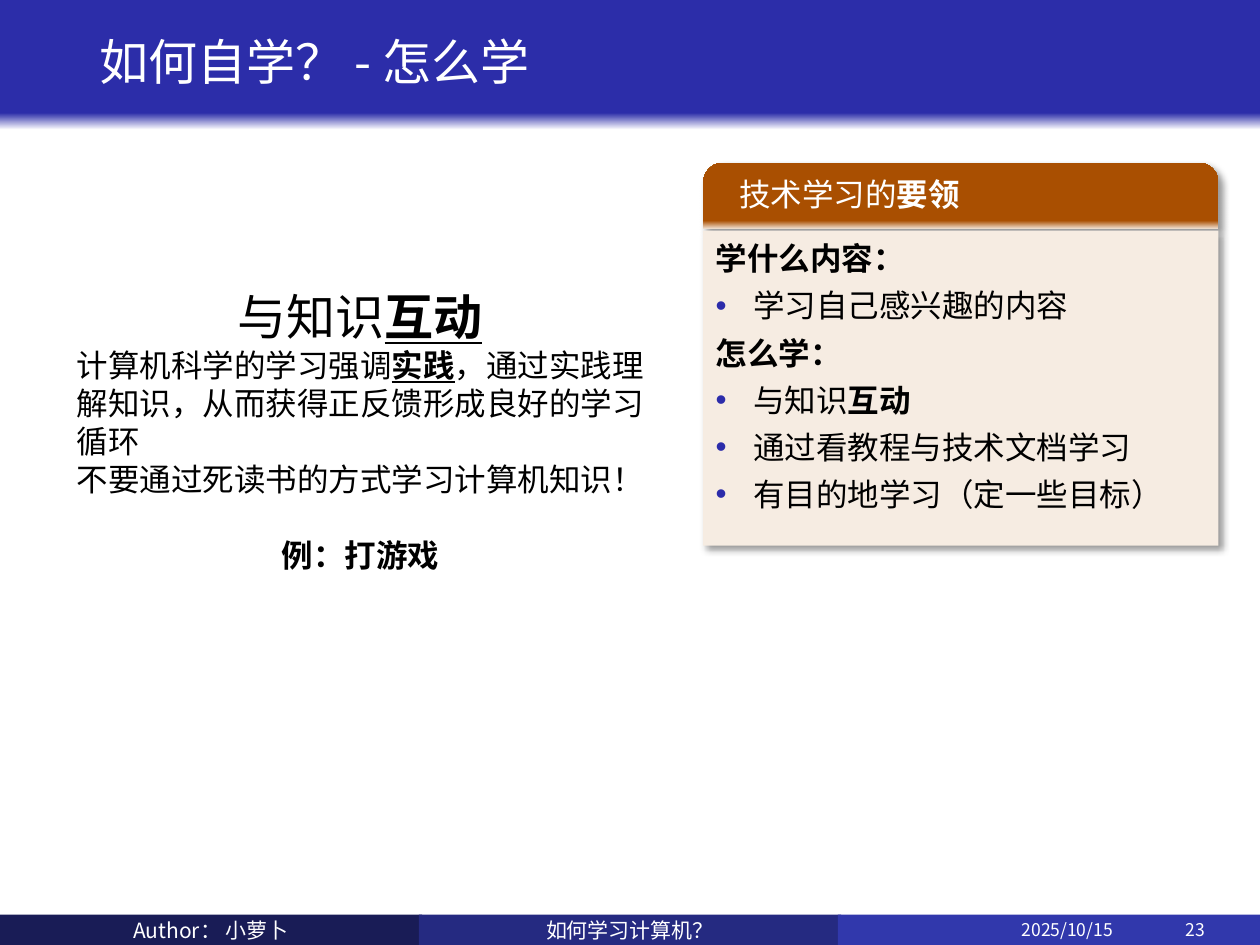
from dataclasses import dataclass
from typing import Optional

from lxml import etree
from pptx import Presentation
from pptx.dml.color import RGBColor
from pptx.enum import shapes, text
from pptx.oxml import ns
from pptx.util import Pt


@dataclass(frozen=True)
class Theme:
    cjk: str = "Noto Sans CJK SC"
    digits: str = "Noto Sans CJK JP"
    white: str = "FFFFFF"
    black: str = "000000"
    blue: str = "2C2DA9"
    bullet: str = "2C2CAA"
    orange: str = "A94F01"
    cream: str = "F6ECE2"
    footer_fills: tuple = ("191C56", "252A81", "3138AC")
    heading: float = 28
    body: float = 18
    footer: float = 12
    small: float = 10


THEME = Theme()
LEFT, CENTER = text.PP_ALIGN.LEFT, text.PP_ALIGN.CENTER
TOP, MIDDLE = text.MSO_ANCHOR.TOP, text.MSO_ANCHOR.MIDDLE
RECTANGLE = shapes.MSO_SHAPE.RECTANGLE


@dataclass(frozen=True)
class Box:
    left: float
    top: float
    width: float
    height: float

    def lengths(self) -> list:
        return [Pt(v) for v in (self.left, self.top, self.width, self.height)]


@dataclass(frozen=True)
class Run:
    text: str
    bold: bool = False
    underline: bool = False


@dataclass(frozen=True)
class Line:
    runs: tuple
    size: float = THEME.body
    color: str = THEME.black
    font: str = THEME.cjk
    align: text.PP_ALIGN = LEFT
    pitch: Optional[float] = None
    before: float = 0
    bullet: bool = False


def add_element(parent, tag: str, **attributes):
    return etree.SubElement(parent, ns.qn(tag), attributes)


def add_bullet(paragraph) -> None:
    properties = paragraph._p.get_or_add_pPr()
    properties.set("marL", str(Pt(21.6)))
    properties.set("indent", str(-Pt(21.6)))
    color = add_element(properties, "a:buClr")
    add_element(color, "a:srgbClr", val=THEME.bullet)
    add_element(properties, "a:buFont", typeface="Arial")
    add_element(properties, "a:buChar", char="•")


def write(shape, lines: list, anchor=MIDDLE, top_inset: float = 3.6) -> None:
    frame = shape.text_frame
    frame.word_wrap = True
    frame.vertical_anchor = anchor
    frame.margin_left = frame.margin_right = Pt(7.2)
    frame.margin_top, frame.margin_bottom = Pt(top_inset), Pt(3.6)
    for index, line in enumerate(lines):
        paragraph = frame.add_paragraph() if index else frame.paragraphs[0]
        if line.bullet:
            add_bullet(paragraph)
        paragraph.alignment = line.align
        paragraph.space_before = Pt(line.before)
        if line.pitch:
            paragraph.line_spacing = Pt(line.pitch)
        for part in line.runs:
            run = paragraph.add_run()
            run.text = part.text
            font = run.font
            font.size, font.name = Pt(line.size), line.font
            font.bold, font.underline = part.bold, part.underline
            font.color.rgb = RGBColor.from_string(line.color)
            add_element(run._r.get_or_add_rPr(), "a:ea", typeface=line.font)


def add_text(slide, box: Box, lines: list, anchor=MIDDLE) -> None:
    write(slide.shapes.add_textbox(*box.lengths()), lines, anchor)


def add_block(slide, box: Box, color: str, kind=RECTANGLE):
    shape = slide.shapes.add_shape(kind, *box.lengths())
    shape.shadow.inherit = False
    shape.line.fill.background()
    shape.fill.solid()
    shape.fill.fore_color.rgb = RGBColor.from_string(color)
    return shape


def fade_bottom(shape, edge: str, color: str) -> None:
    """Fade the fill into the edge colour along the bottom of the shape."""
    shape.fill.gradient()
    shape.fill.gradient_angle = 90
    for stop, position, value in zip(shape.fill.gradient_stops, (0, 0.13), (edge, color)):
        stop.position = position
        stop.color.rgb = RGBColor.from_string(value)


def add_shadow(shape) -> None:
    effects = shape._element.spPr.find(ns.qn("a:effectLst"))
    shadow = add_element(effects, "a:outerShdw", blurRad=str(Pt(4)), dist=str(Pt(3)),
                         dir="2700000", algn="tl", rotWithShape="0")
    color = add_element(shadow, "a:srgbClr", val=THEME.black)
    add_element(color, "a:alpha", val="40000")


def draw_footer(slide) -> None:
    top, height, step = 522.7, 17.3, 239.4
    captions = ("Author： 小萝卜", "如何学习计算机？", "")
    for index, (caption, color) in enumerate(zip(captions, THEME.footer_fills)):
        cell = add_block(slide, Box(index * step, top, 241.2, height), color)
        if caption:
            write(cell, [Line((Run(caption),), THEME.footer, THEME.white, align=CENTER)])
    for left, width, caption in ((576.7, 80.6, "2025/10/15"), (670.3, 43.2, "23")):
        add_text(slide, Box(left, top, width, height),
                 [Line((Run(caption),), THEME.small, THEME.white, THEME.digits)])


def draw_title(slide) -> None:
    fade_bottom(add_block(slide, Box(0, 0, 720, 74.2), THEME.blue), THEME.white, THEME.blue)
    add_text(slide, Box(49.7, 3.6, 620.6, 66.2),
             [Line((Run("如何自学？ - 怎么学"),), THEME.heading, THEME.white, pitch=30.2)])


def draw_key_points(slide) -> None:
    left, width, pitch = 401.8, 294.5, 19.4
    header = add_block(slide, Box(left, 92.9, width, 38.2), THEME.orange,
                       shapes.MSO_SHAPE.ROUND_2_SAME_RECTANGLE)
    header.adjustments[0], header.adjustments[1] = 0.3, 0
    fade_bottom(header, THEME.cream, THEME.orange)
    panel = add_block(slide, Box(left, 131.8, width, 180), THEME.cream)
    for shape in (header, panel):
        add_shadow(shape)
    add_text(slide, Box(415.4, 98.6, 150.5, 23),
             [Line((Run("技术学习的"), Run("要领", True)), color=THEME.white, pitch=pitch)], TOP)
    points = (
        (False, Run("学什么内容：", True)),
        (True, Run("学习自己感兴趣的内容")),
        (False, Run("怎么学：", True)),
        (True, Run("与知识"), Run("互动", True)),
        (True, Run("通过看教程与技术文档学习")),
        (True, Run("有目的地学习（定一些目标）")),
    )
    lines = [Line(tuple(runs), pitch=pitch, before=7.5 if index else 0, bullet=bullet)
             for index, (bullet, *runs) in enumerate(points)]
    write(panel, lines, TOP, top_inset=7.2)


def draw_message(slide) -> None:
    pitch = 21.7
    add_text(slide, Box(36.7, 136.8, 338.4, 218), [
        Line((Run("与知识"), Run("互动", True, True)), THEME.heading, align=CENTER, pitch=33.7),
        Line((Run("计算机科学的学习强调"), Run("实践", True, True),
              Run("，通过实践理解知识，从而获得正反馈形成良好的学习循环")), pitch=pitch),
        Line((Run("不要通过死读书的方式学习计算机知识！"),), pitch=pitch),
        Line((Run("例：打游戏", True),), align=CENTER, pitch=pitch, before=pitch),
    ])


def main() -> None:
    presentation = Presentation()
    presentation.slide_width, presentation.slide_height = Pt(720), Pt(540)
    slide = presentation.slides.add_slide(presentation.slide_layouts[6])
    draw_footer(slide)
    draw_title(slide)
    draw_key_points(slide)
    draw_message(slide)
    presentation.save("out.pptx")


if __name__ == "__main__":
    main()
